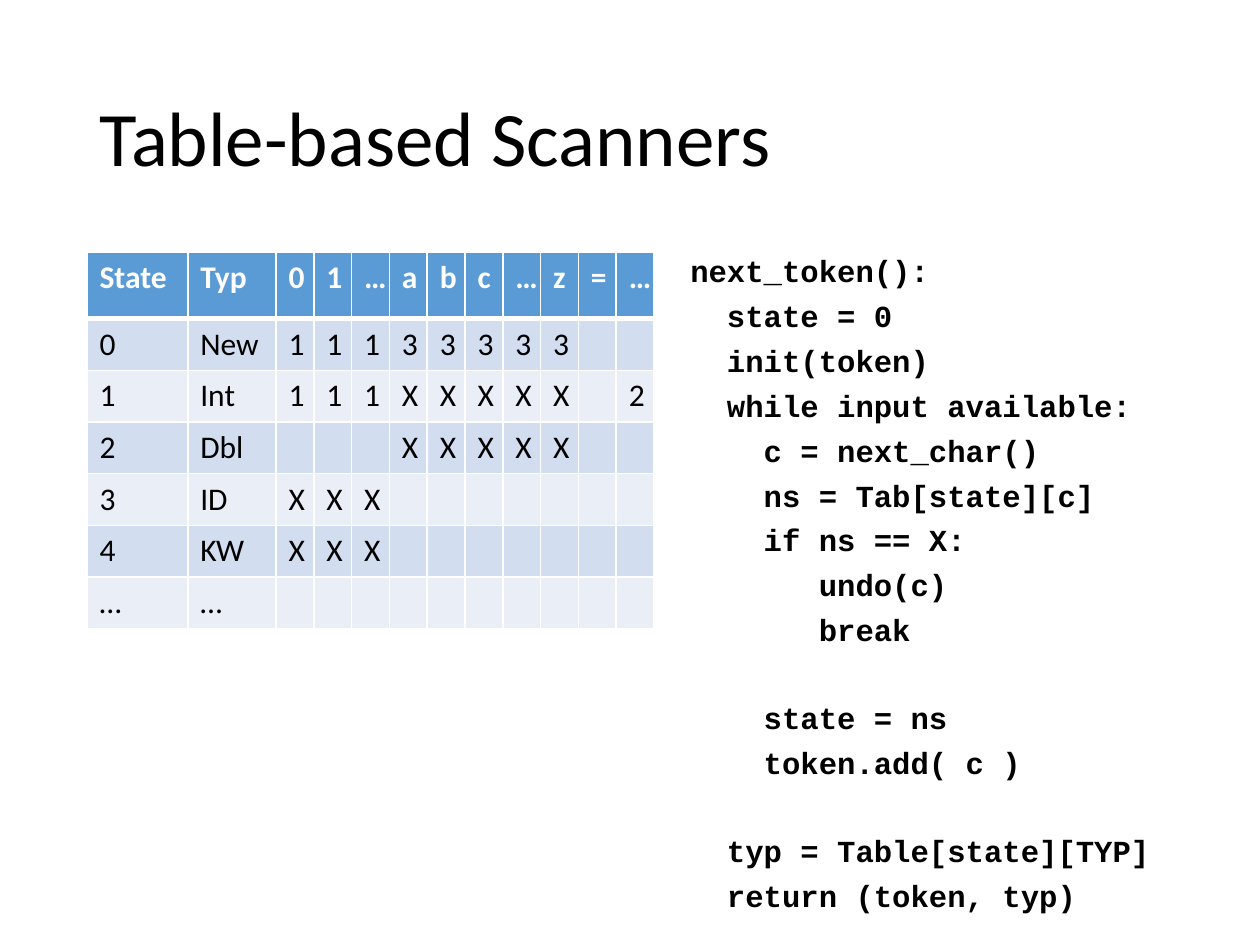
import pptx
import pptx.util
import pptx.dml.color
import pptx.enum.text
import pptx.oxml.ns
import lxml.etree
from dataclasses import dataclass

Inches = pptx.util.Inches
Pt = pptx.util.Pt


@dataclass(frozen=True)
class Theme:
    text: str = "000000"
    light: str = "FFFFFF"
    header: str = "5B9BD5"
    bands: tuple = ("EAEFF7", "D2DEEF")
    body_font: str = "Calibri"
    code_font: str = "Courier New"
    title_size: float = 44
    table_size: float = 18
    code_size: float = 17.5


theme = Theme()


def add_run(paragraph, text, font, size, color, bold=False):
    run = paragraph.add_run()
    run.text = text
    run.font.name = font
    run.font.size = Pt(size)
    run.font.bold = bold
    run.font.color.rgb = pptx.dml.color.RGBColor.from_string(color)


def add_border(cell, side, width):
    qn = pptx.oxml.ns.qn
    properties = cell._tc.get_or_add_tcPr()
    line = lxml.etree.SubElement(properties, qn(f"a:ln{side}"), w=str(Pt(width)))
    fill = lxml.etree.SubElement(line, qn("a:solidFill"))
    lxml.etree.SubElement(fill, qn("a:srgbClr"), val=theme.light)


presentation = pptx.Presentation()
presentation.slide_width = Inches(10)
presentation.slide_height = Inches(7.5)
slide = presentation.slides.add_slide(presentation.slide_layouts[5])

title = slide.shapes.title
title.left, title.top = Inches(0.69), Inches(0.4)
title.width, title.height = Inches(8.62), Inches(1.45)
title.text_frame.vertical_anchor = pptx.enum.text.MSO_ANCHOR.MIDDLE
paragraph = title.text_frame.paragraphs[0]
paragraph.alignment = pptx.enum.text.PP_ALIGN.LEFT
paragraph.line_spacing = 0.9
add_run(paragraph, "Table-based Scanners", theme.body_font, theme.title_size, theme.text)

transitions = [
    ["State", "Typ", *"01…abc…z=…"],
    ["0", "New", *"11133333", "", ""],
    ["1", "Int", *"111XXXXX", "", "2"],
    ["2", "Dbl", "", "", "", *"XXXXX", "", ""],
    ["3", "ID", *"XXX"] + [""] * 7,
    ["4", "KW", *"XXX"] + [""] * 7,
    ["…", "…"] + [""] * 10,
]
column_widths = [0.8, 0.7] + [0.3] * 10
row_heights = [0.53] + [0.41] * 6
table = slide.shapes.add_table(
    len(row_heights), len(column_widths), Inches(0.69), Inches(2),
    Inches(sum(column_widths)), Inches(sum(row_heights))).table
for column, width in zip(table.columns, column_widths):
    column.width = Inches(width)
for row, height in zip(table.rows, row_heights):
    row.height = Inches(height)

for row_index, values in enumerate(transitions):
    is_header = row_index == 0
    for column_index, value in enumerate(values):
        cell = table.cell(row_index, column_index)
        add_border(cell, "L", 1)
        add_border(cell, "R", 1)
        add_border(cell, "T", 3 if row_index == 1 else 1)
        add_border(cell, "B", 3 if is_header else 1)
        cell.fill.solid()
        cell.fill.fore_color.rgb = pptx.dml.color.RGBColor.from_string(
            theme.header if is_header else theme.bands[row_index % 2])
        paragraph = cell.text_frame.paragraphs[0]
        if value:
            add_run(paragraph, value, theme.body_font, theme.table_size,
                    theme.light if is_header else theme.text, is_header)
        else:
            paragraph.font.size = Pt(theme.table_size)

code_blocks = [
    [
        "next_token():",
        "  state = 0",
        "  init(token)",
        "  while input available:",
        "    c = next_char()",
        "    ns = Tab[state][c]",
        "    if ns == X:",
        "       undo(c)",
        "       break",
    ],
    ["    state = ns", "    token.add( c )"],
    ["  typ = Table[state][TYP]", "  return (token, typ)"],
]
code_box = slide.shapes.add_textbox(Inches(5.38), Inches(2), Inches(4.62), Inches(5.5))
code_frame = code_box.text_frame
code_frame.word_wrap = True
for block_index, block in enumerate(code_blocks):
    for line_index, line in enumerate(block):
        if block_index == line_index == 0:
            paragraph = code_frame.paragraphs[0]
        else:
            paragraph = code_frame.add_paragraph()
            paragraph.space_before = Pt(8 if line_index else 32.7)
        paragraph.line_spacing = 0.84
        add_run(paragraph, line, theme.code_font, theme.code_size, theme.text, True)

presentation.save("out.pptx")
